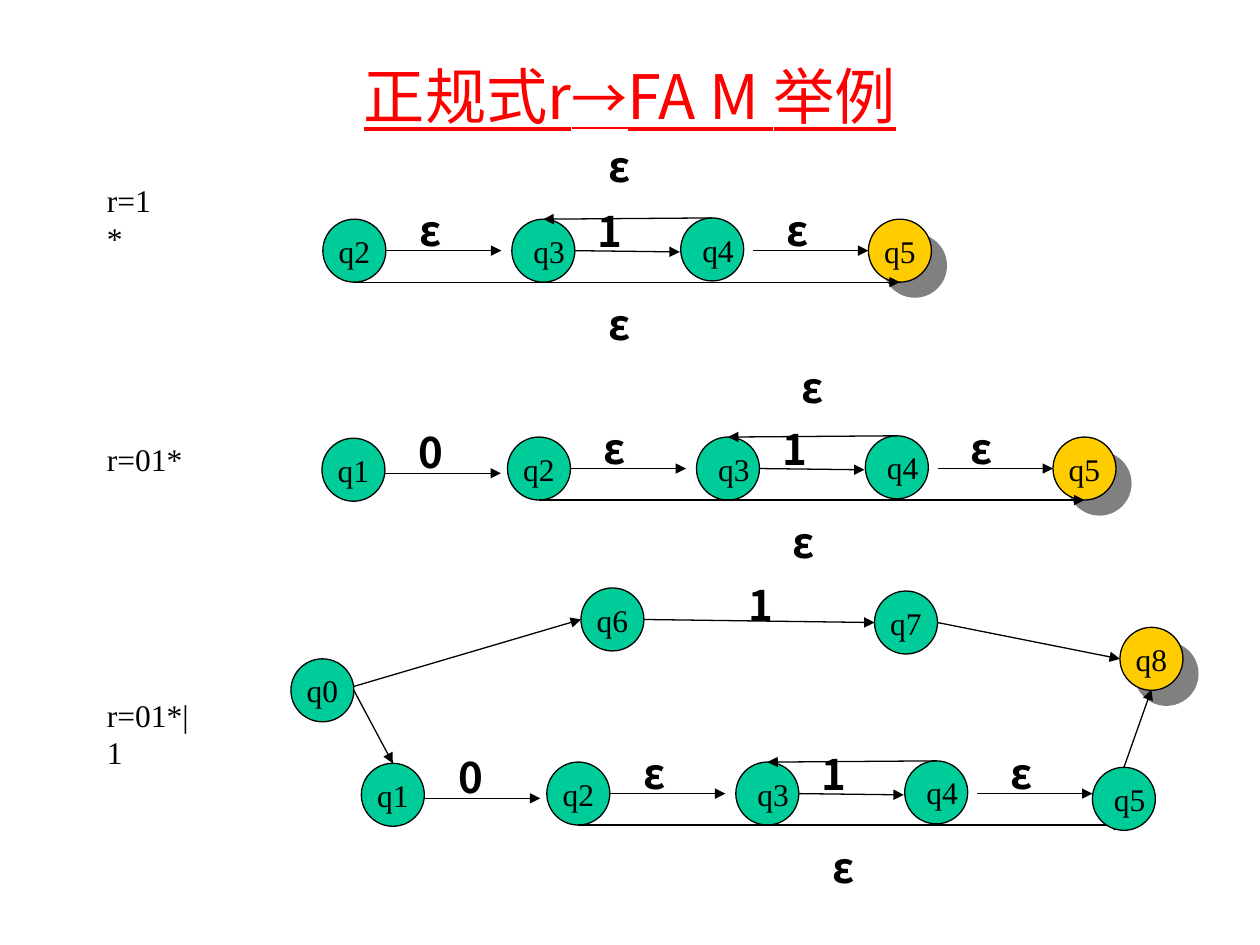
"""Build a slide of finite automata for three regular expressions."""
from lxml import etree
from pptx import Presentation
from pptx import util as u
from pptx.dml import color
from pptx.enum import shapes, text
from pptx.oxml import ns


def rgb(value):
    return color.RGBColor.from_string(value)


def write(tf, string, font="Noto Sans CJK SC", size=24, ink="000000",
          bold=False, underline=False, align="LEFT"):
    p = tf.paragraphs[0]
    p.alignment = getattr(text.PP_ALIGN, align)
    r = p.add_run()
    r.text = string
    r.font.name, r.font.size = font, u.Pt(size)
    r.font.bold, r.font.underline = bold, underline
    r.font.color.rgb = rgb(ink)
    ea = etree.SubElement(r.font._element, ns.qn("a:ea"))
    ea.set("typeface", font)


class Diagram:
    serif = "Times New Roman"
    black, green, gold, red, gray = "000000", "00CC99", "FFCC00", "FF0000", "808080"
    d = 36

    def __init__(self, s):
        self.s = s

    def title(self, runs, x, y, w, h):
        sp = self.s.shapes.title
        sp.left, sp.top, sp.width, sp.height = map(u.Pt, (x, y, w, h))
        tf = sp.text_frame
        tf.auto_size = text.MSO_AUTO_SIZE.NONE
        tf.vertical_anchor = text.MSO_ANCHOR.MIDDLE
        for string, size in runs:
            write(tf, string, size=size, ink=self.red, underline=True, align="CENTER")

    def box(self, x, y, w, h, wrap):
        tf = self.s.shapes.add_textbox(*map(u.Pt, (x, y, w, h))).text_frame
        tf.word_wrap = wrap
        tf.auto_size = text.MSO_AUTO_SIZE.SHAPE_TO_FIT_TEXT
        return tf

    def expression(self, string, y, w):
        write(self.box(54, y, w, 28.8, False), string, font=self.serif, size=18)

    def symbol(self, string, x, y):
        write(self.box(x, y, self.d, self.d, True), string, bold=True)

    def state(self, name, x, y, final=False, align="CENTER"):
        sp = self.s.shapes.add_shape(shapes.MSO_SHAPE.OVAL, *map(u.Pt, (x, y, self.d, self.d)))
        sp.shadow.inherit = False
        sp.fill.solid()
        sp.fill.fore_color.rgb = rgb(self.gold if final else self.green)
        sp.line.color.rgb, sp.line.width = rgb(self.black), u.Pt(0.75)
        if final:
            effects = sp._element.spPr.find(ns.qn("a:effectLst"))
            shadow = etree.SubElement(effects, ns.qn("a:outerShdw"), dist=str(u.Pt(12.1)),
                                      dir="2700000", algn="ctr", rotWithShape="0")
            etree.SubElement(shadow, ns.qn("a:srgbClr"), val=self.gray)
        tf = sp.text_frame
        tf.word_wrap = False
        tf.vertical_anchor = text.MSO_ANCHOR.MIDDLE
        write(tf, name, font=self.serif, size=18, align=align)

    def arrow(self, x1, y1, x2, y2):
        c = self.s.shapes.add_connector(shapes.MSO_CONNECTOR.STRAIGHT,
                                        *map(u.Pt, (x1, y1, x2, y2)))
        c.line.color.rgb, c.line.width = rgb(self.black), u.Pt(0.75)
        etree.SubElement(c.line._get_or_add_ln(), ns.qn("a:tailEnd"), type="triangle")
        etree.SubElement(c._element.spPr, ns.qn("a:effectLst"))

    def star(self, x, y, final=True):
        self.state("q3", x + 108, y, align="LEFT")
        self.state("q4", x + 204.5, y - 0.7, align="LEFT")
        if final:
            self.state("q5", x + 311.75, y, final=True)
        self.state("q2", x, y)
        for x1, y1, x2, y2 in [(222.5, -0.7, 126, 0), (36, 18, 102, 18),
                               (246, 18, 311.75, 18), (18, 36, 329.75, 36),
                               (144, 18, 204, 18.7)]:
            self.arrow(x + x1, y + y1, x + x2, y + y2)
        for string, dx, dy in [("ε", 48, -12), ("ε", 257.75, -12),
                               ("ε", 156, 42), ("1", 150, -11.5)]:
            self.symbol(string, x + dx, y + dy)

    def zero(self, x, y):
        self.state("q1", x - 106, y + 0.7)
        self.arrow(x - 70, y + 20.7, x - 3.75, y + 20.7)
        self.symbol("0", x - 57.75, y - 9.4)


def main():
    prs = Presentation()
    prs.slide_width, prs.slide_height = u.Pt(720), u.Pt(540)
    g = Diagram(prs.slides.add_slide(prs.slide_layouts[5]))
    g.title([("正规式r", 35), ("→", 32), ("FA M 举例", 35)], 54, 30.25, 612, 48.25)

    g.expression("r=1*", 100, 48.25)
    g.star(184.5, 125.25)
    g.symbol("ε", 340.5, 77)

    g.expression("r=01*", 247.75, 57.5)
    g.star(290, 249.75)
    g.symbol("ε", 450.75, 203)
    g.zero(290, 249.75)

    g.expression("r=01*|1", 394, 69.75)
    g.star(312.5, 435.5, final=False)
    g.zero(312.5, 435.5)
    for name, x, y in [("q0", 166.25, 376.5), ("q6", 332, 336), ("q7", 499.75, 337.75)]:
        g.state(name, x, y)
    g.state("q8", 640, 358.5, final=True)
    g.state("q5", 624.25, 438.5, align="LEFT")
    g.symbol("1", 420.5, 327.5)
    for ends in [(368, 354, 499.75, 355.75), (535.75, 355.75, 640, 376.5),
                 (202.25, 392.25, 332, 354), (202.25, 394.5, 224.5, 436.25),
                 (642.25, 438.5, 658, 394)]:
        g.arrow(*ends)
    prs.save("out.pptx")


if __name__ == "__main__":
    main()
